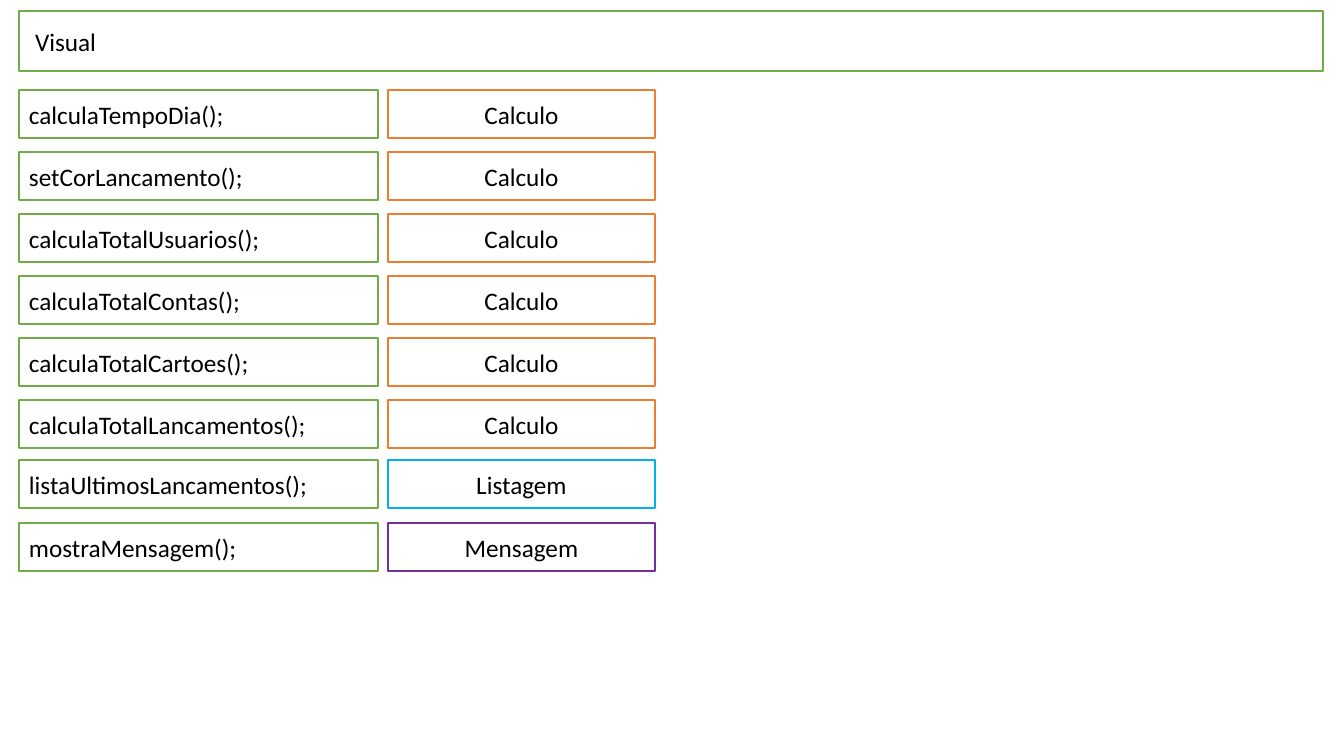
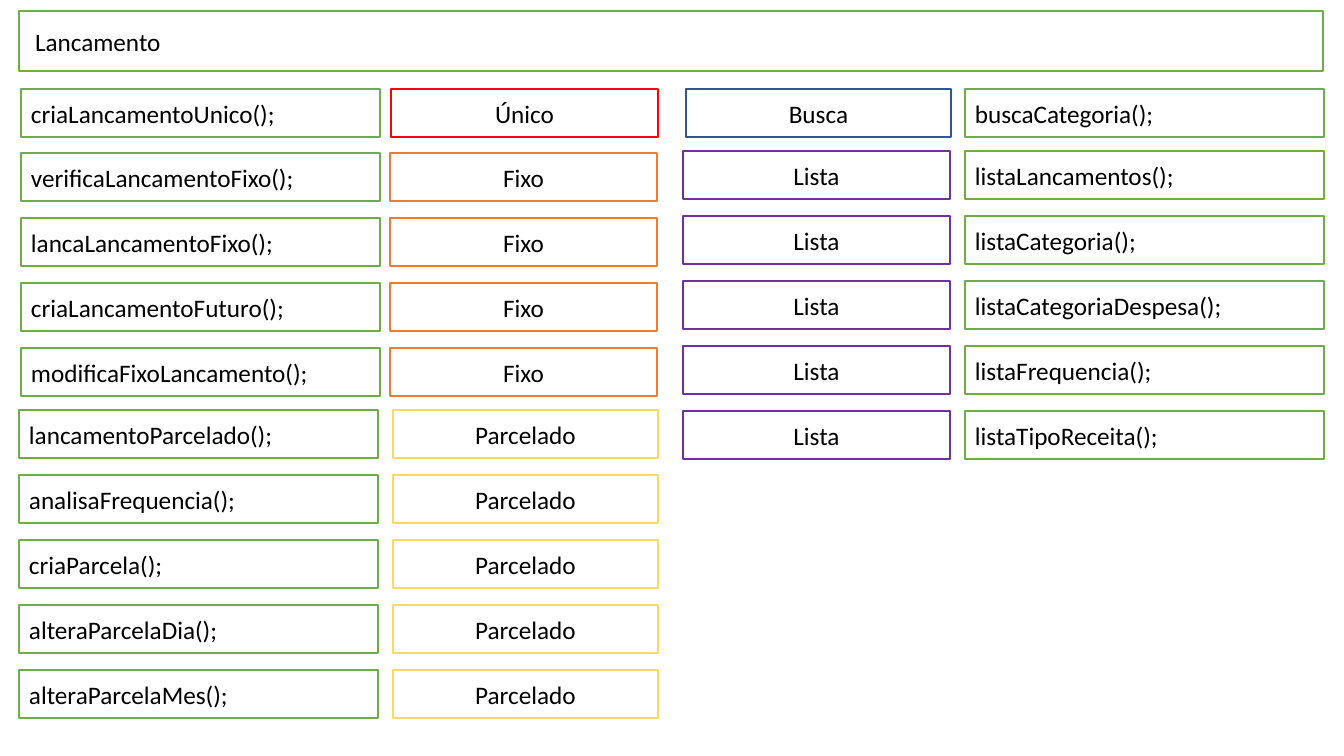
from dataclasses import dataclass, field
from pptx import Presentation
from pptx.dml.color import RGBColor
from pptx.enum.shapes import MSO_SHAPE
from pptx.enum.text import MSO_ANCHOR, MSO_AUTO_SIZE, PP_ALIGN
from pptx.util import Pt

# Content: each group is (tag, top, function x, tag x, tag width, functions)
SLIDES = [
    ("Visual", 62, [
        ("Calculo", 90, 19, 388, 267, [
            "calculaTempoDia();", "setCorLancamento();",
            "calculaTotalUsuarios();", "calculaTotalContas();",
            "calculaTotalCartoes();", "calculaTotalLancamentos();"]),
        ("Listagem", 460, 19, 388, 267, ["listaUltimosLancamentos();"]),
        ("Mensagem", 523, 19, 388, 267, ["mostraMensagem();"]),
    ]),
    ("Lancamento", 65, [
        ("Único", 89, 21, 391, 267, ["criaLancamentoUnico();"]),
        ("Fixo", 153, 21, 390, 267, [
            "verificaLancamentoFixo();", "lancaLancamentoFixo();",
            "criaLancamentoFuturo();", "modificaFixoLancamento();"]),
        ("Parcelado", 410, 19, 393, 265, [
            "lancamentoParcelado();", "analisaFrequencia();",
            "criaParcela();", "alteraParcelaDia();", "alteraParcelaMes();"]),
        ("Busca", 89, 965, 686, 265, ["buscaCategoria();"]),
        ("Lista", 151, 965, 683, 267, [
            "listaLancamentos();", "listaCategoria();",
            "listaCategoriaDespesa();", "listaFrequencia();",
            "listaTipoReceita();"]),
    ]),
]


@dataclass
class Theme:
    font: str = "Calibri"
    size: int = 18
    line_width: int = 1
    text: str = "000000"
    fill: str = "FFFFFF"
    main: str = "70AD47"
    tags: dict = field(default_factory=lambda: {
        "Calculo": "ED7D31", "Listagem": "00B0F0", "Mensagem": "7030A0",
        "Único": "FF0000", "Fixo": "ED7D31", "Parcelado": "FFD966",
        "Busca": "2F5597", "Lista": "7030A0"})


THEME = Theme()

# Layout in pixels
SCALE = 914400 / 100.8
SLIDE_W, SLIDE_H = 1344, 756
TITLE_BOX = (19, 11, 1304, 60)
FUNCTION_W, ROW_H = 359, 48
INSET, TITLE_INSET = 10, 16


def px(n):
    return round(n * SCALE)


def style_box(sp, box, text, colour, align=PP_ALIGN.LEFT, inset=INSET):
    """Place an outlined box and write its single line of text."""
    sp.left, sp.top, sp.width, sp.height = map(px, box)
    sp.fill.solid()
    sp.fill.fore_color.rgb = RGBColor.from_string(THEME.fill)
    sp.line.color.rgb = RGBColor.from_string(colour)
    sp.line.width = Pt(THEME.line_width)
    tf = sp.text_frame
    tf.word_wrap = True
    tf.auto_size = MSO_AUTO_SIZE.NONE
    tf.vertical_anchor = MSO_ANCHOR.MIDDLE
    tf.margin_left, tf.margin_right = px(inset), px(INSET)
    p = tf.paragraphs[0]
    p.alignment = align
    r = p.add_run()
    r.text = text
    r.font.name = THEME.font
    r.font.size = Pt(THEME.size)
    r.font.color.rgb = RGBColor.from_string(THEME.text)


def add_box(s, box, text, colour, align=PP_ALIGN.LEFT):
    sp = s.shapes.add_shape(MSO_SHAPE.RECTANGLE, *map(px, box))
    sp.shadow.inherit = False
    style_box(sp, box, text, colour, align)


def add_group(s, group, pitch):
    """Stack rows of a function box with its tag box beside it."""
    tag, top, function_x, tag_x, tag_w, functions = group
    for i, function in enumerate(functions):
        y = top + i * pitch
        add_box(s, (function_x, y, FUNCTION_W, ROW_H), function, THEME.main)
        add_box(s, (tag_x, y, tag_w, ROW_H), tag, THEME.tags[tag], PP_ALIGN.CENTER)


# Build
prs = Presentation()
prs.slide_width, prs.slide_height = px(SLIDE_W), px(SLIDE_H)
title_only = prs.slide_layouts[5]
for title, pitch, groups in SLIDES:
    s = prs.slides.add_slide(title_only)
    style_box(s.shapes.title, TITLE_BOX, title, THEME.main, inset=TITLE_INSET)
    for group in groups:
        add_group(s, group, pitch)
prs.save("out.pptx")
